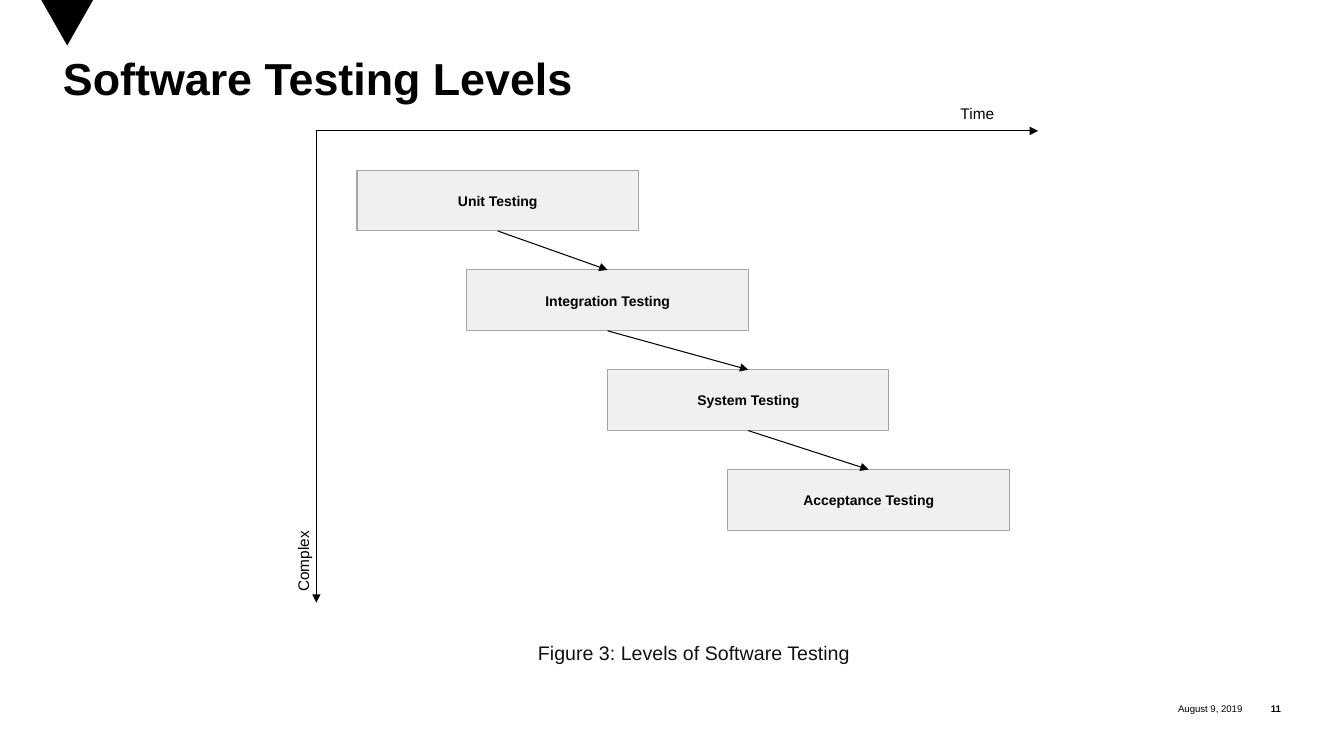
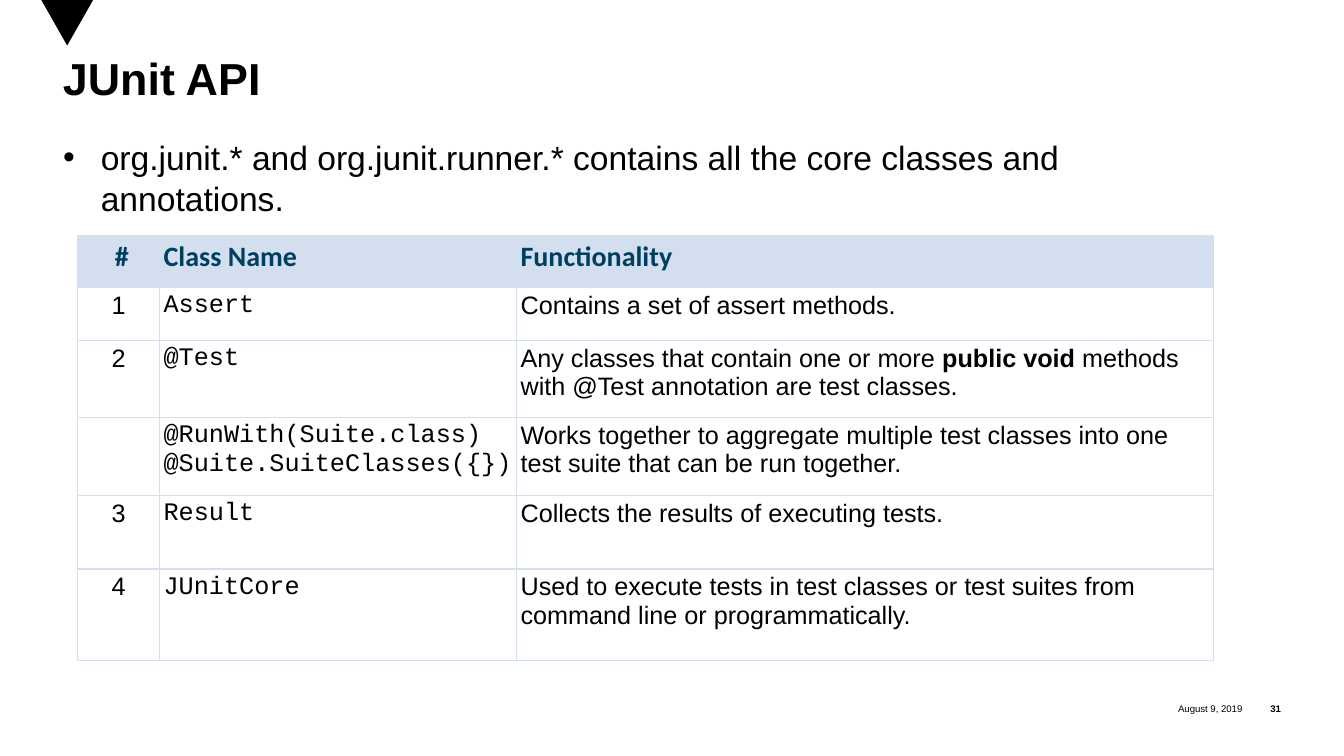
from collections import namedtuple
from dataclasses import dataclass
from itertools import pairwise

import pptx
import pptx.dml.color
import pptx.enum.shapes
import pptx.enum.text
import pptx.oxml.ns
import pptx.util
from lxml import etree

Pt = pptx.util.Pt
qn = pptx.oxml.ns.qn
Align = pptx.enum.text.PP_ALIGN
Anchor = pptx.enum.text.MSO_ANCHOR
Shape = pptx.enum.shapes.MSO_SHAPE
Connector = pptx.enum.shapes.MSO_CONNECTOR

Box = namedtuple("Box", "left top width height")


@dataclass(frozen=True)
class Theme:
    ink: str = "000000"
    caption_ink: str = "111111"
    level_fill: str = "F0F0F0"
    level_line: str = "A6A6A6"
    header_ink: str = "003F60"
    table_tint: str = "D3DFEE"
    sans: str = "Arial"
    header_font: str = "Calibri"
    code_font: str = "Courier New"
    title_size: float = 32
    body_size: float = 24
    header_size: float = 20
    cell_size: float = 18
    caption_size: float = 14
    axis_size: float = 11
    level_size: float = 10
    footer_size: float = 6.9


THEME = Theme()
PAGE = Box(0, 0, 960, 540)
DATE = "August 9, 2019"
LEVELS = (
    ("Unit Testing", 29),
    ("Integration Testing", 107.5),
    ("System Testing", 208),
    ("Acceptance Testing", 294),
)
API_COLUMNS = (58.5, 255, 498)
API_ROW_HEIGHTS = (37, 37.5, 55.5, 55.5, 52.5, 65.5)
API_HEADER = (" #", "Class Name", "Functionality")
API_CLASSES = (
    ("1", "Assert", "Contains a set of assert methods."),
    ("2", "@Test", ("Any classes that contain one or more ", "public void",
                    " methods with @Test annotation are test classes.")),
    ("", "@RunWith(Suite.class)\n@Suite.SuiteClasses({})",
     "Works together to aggregate multiple test classes into one test suite "
     "that can be run together."),
    ("3", "Result", "Collects the results of executing tests."),
    ("4", "JUnitCore", "Used to execute tests in test classes or test suites "
                       "from command line or programmatically."),
)


def set_format(target, values):
    for name, value in values.items():
        setattr(target, name, value)


def rgb(colour):
    return pptx.dml.color.RGBColor.from_string(colour)


def points(box):
    return [Pt(length) for length in box]


def inside(box, left, top, width, height):
    """Return a box whose offset is measured from the corner of another box."""
    return Box(box.left + left, box.top + top, width, height)


def write(frame, content, size, font=THEME.sans, colour=THEME.ink, bold=False, **layout):
    """Fill a frame; each line is a paragraph, and a tuple alternates plain and bold spans."""
    lines = content.split("\n") if isinstance(content, str) else [content]
    for index, line in enumerate(lines):
        para = frame.paragraphs[0] if index == 0 else frame.add_paragraph()
        set_format(para, layout)
        pieces = (line,) if isinstance(line, str) else line
        for position, piece in enumerate(pieces):
            span = para.add_run()
            span.text = piece
            set_format(span.font, {"name": font, "size": Pt(size),
                                   "bold": bold or position % 2 == 1})
            span.font.color.rgb = rgb(colour)


def add_text(page, box, content, size, inset=True, wrap=True, anchor=Anchor.TOP, **style):
    label = page.shapes.add_textbox(*points(box))
    frame = label.text_frame
    set_format(frame, {"word_wrap": wrap, "vertical_anchor": anchor})
    if not inset:
        set_format(frame, dict.fromkeys(
            ("margin_left", "margin_top", "margin_right", "margin_bottom"), 0))
    write(frame, content, size, **style)
    return label


def add_arrow(page, start=(0, 0), end=(0, 0)):
    arrow = page.shapes.add_connector(
        Connector.STRAIGHT, *points(start), *points(end))
    arrow.line.color.rgb = rgb(THEME.ink)
    arrow.line.width = Pt(0.75)
    etree.SubElement(arrow.line._get_or_add_ln(), qn("a:tailEnd"), type="triangle")
    etree.SubElement(arrow._element.spPr, qn("a:effectLst"))
    return arrow


def add_marker(page, box):
    """Draw the triangle that hangs from the top edge."""
    builder = page.shapes.build_freeform(Pt(box.left), Pt(box.top))
    builder.add_line_segments([
        points((box.left + box.width / 2, box.top + box.height)),
        points((box.left + box.width, box.top)),
    ])
    marker = builder.convert_to_shape()
    marker.shadow.inherit = False
    marker.fill.solid()
    marker.fill.fore_color.rgb = rgb(THEME.ink)
    marker.line.fill.background()


def add_footer(page, box, number):
    number_width = 27.5
    date_width = box.width - number_width
    shared = {"size": THEME.footer_size, "inset": False,
              "anchor": Anchor.MIDDLE, "alignment": Align.RIGHT}
    add_text(page, inside(box, 0, 0, date_width, box.height), DATE, wrap=False, **shared)
    add_text(page, inside(box, date_width, 0, number_width, box.height),
             str(number), bold=True, **shared)


def add_page(deck, title, number):
    page = deck.slides.add_slide(deck.slide_layouts[6])
    add_marker(page, inside(PAGE, 29.5, 0, 37, 32.5))
    add_footer(page, inside(PAGE, 780.5, 497.5, 134.5, 18), number)
    add_text(page, inside(PAGE, 45, 42, 870, 93), title, THEME.title_size,
             inset=False, bold=True, line_spacing=0.85)
    return page


def add_level(page, box, name):
    level = page.shapes.add_shape(Shape.RECTANGLE, *points(box))
    level.shadow.inherit = False
    level.fill.solid()
    level.fill.fore_color.rgb = rgb(THEME.level_fill)
    level.line.color.rgb = rgb(THEME.level_line)
    level.line.width = Pt(0.75)
    level.text_frame.vertical_anchor = Anchor.MIDDLE
    write(level.text_frame, name, THEME.level_size, bold=True, alignment=Align.CENTER)
    return level


def add_level_diagram(page, box):
    """Place the two axes, the staircase of levels and the caption below."""
    origin = (box.left, box.top)
    add_arrow(page, origin, (box.left + box.width, box.top))
    add_arrow(page, origin, (box.left, box.top + box.height))
    add_text(page, inside(box, 453, -23, 75, 21.5), "Time", THEME.axis_size)
    complexity = add_text(page, inside(box, -52.5, 282, 87, 21.5), "Complex", THEME.axis_size)
    complexity.rotation = 270
    add_text(page, inside(box, 150.5, 360.5, 238.5, 24.5),
             "Figure 3: Levels of Software Testing", THEME.caption_size,
             wrap=False, colour=THEME.caption_ink, alignment=Align.CENTER)

    step = 71.3
    levels = [add_level(page, inside(box, left, 28 + index * step, 201, 43.5), name)
              for index, (name, left) in enumerate(LEVELS)]
    bottom_site, top_site = 2, 0
    for upper, lower in pairwise(levels):
        arrow = add_arrow(page)
        arrow.begin_connect(upper, bottom_site)
        arrow.end_connect(lower, top_site)


def add_bullet(page, box, content):
    label = add_text(page, box, content, THEME.body_size, inset=False, space_before=Pt(7.5))
    properties = label.text_frame.paragraphs[0]._p.get_or_add_pPr()
    properties.set("marL", str(Pt(27)))
    properties.set("indent", str(-Pt(27)))
    etree.SubElement(properties, qn("a:buFont"), typeface=THEME.sans)
    etree.SubElement(properties, qn("a:buChar"), char="•")


def add_borders(cell):
    properties = cell._tc.get_or_add_tcPr()
    for side in ("lnL", "lnR", "lnT", "lnB"):
        line = etree.SubElement(properties, qn("a:" + side), w=str(Pt(1)))
        fill = etree.SubElement(line, qn("a:solidFill"))
        etree.SubElement(fill, qn("a:srgbClr"), val=THEME.table_tint)


def add_api_table(page, box):
    rows = (API_HEADER, *API_CLASSES)
    table = page.shapes.add_table(len(rows), len(API_COLUMNS), *points(box)).table
    set_format(table, {"first_row": False, "horz_banding": False})
    for column, width in zip(table.columns, API_COLUMNS):
        column.width = Pt(width)
    margins = dict.fromkeys(
        ("margin_left", "margin_top", "margin_right", "margin_bottom"), Pt(2.9))
    header_style = {"size": THEME.header_size, "font": THEME.header_font,
                    "colour": THEME.header_ink, "bold": True}
    column_fonts = (THEME.sans, THEME.code_font, THEME.sans)
    column_alignments = (Align.CENTER, Align.LEFT, Align.LEFT)

    for row_index, (contents, height) in enumerate(zip(rows, API_ROW_HEIGHTS)):
        table.rows[row_index].height = Pt(height)
        for column_index, content in enumerate(contents):
            cell = table.cell(row_index, column_index)
            set_format(cell, margins)
            add_borders(cell)
            if row_index == 0:
                cell.fill.solid()
                cell.fill.fore_color.rgb = rgb(THEME.table_tint)
                style = header_style
            else:
                cell.fill.background()
                style = {"size": THEME.cell_size, "font": column_fonts[column_index]}
            write(cell.text_frame, content,
                  alignment=column_alignments[column_index], **style)


def add_levels_page(deck):
    page = add_page(deck, "Software Testing Levels", 11)
    add_level_diagram(page, inside(PAGE, 226, 93.5, 515.5, 337))


def add_api_page(deck):
    page = add_page(deck, "JUnit API", 31)
    add_bullet(page, inside(PAGE, 45, 98, 735, 71),
               "org.junit.* and org.junit.runner.* contains all the core classes "
               "and annotations.")
    add_api_table(page, inside(PAGE, 55.5, 168.5, sum(API_COLUMNS), sum(API_ROW_HEIGHTS)))


def main():
    deck = pptx.Presentation()
    set_format(deck, {"slide_width": Pt(PAGE.width), "slide_height": Pt(PAGE.height)})
    add_levels_page(deck)
    add_api_page(deck)
    deck.save("out.pptx")


if __name__ == "__main__":
    main()
